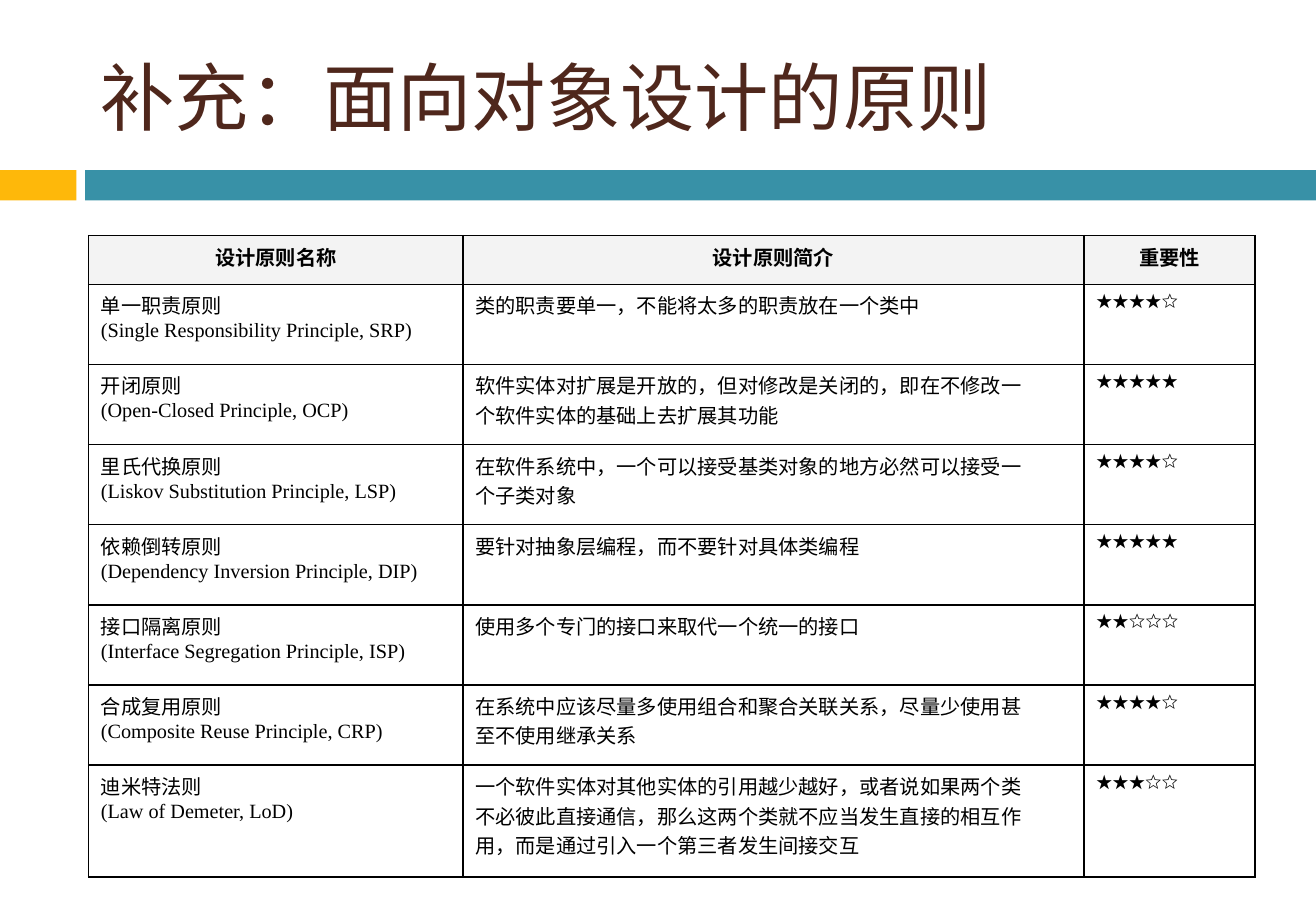
from dataclasses import dataclass

from lxml import etree
from pptx import Presentation
from pptx import util as u
from pptx.dml.color import RGBColor
from pptx.enum import shapes, text
from pptx.oxml import ns

BLACK, WHITE, HEADER_GRAY = "000000", "FFFFFF", "F3F3F3"
BROWN, YELLOW, TEAL = "4F271C", "FEB80A", "3891A7"
HANG = u.Inches(0.38)
MAX_STARS = 5


@dataclass
class Bar:
    left: float
    width: float
    color: str


@dataclass
class Principle:
    name: str
    english: str
    summary: list[str]
    stars: int

    def cells(self) -> list[list[str]]:
        rating = "★" * self.stars + "☆" * (MAX_STARS - self.stars)
        return [[self.name, f"({self.english})"], self.summary, [rating]]


BARS = [Bar(0, 0.63, YELLOW), Bar(0.7, 10.13, TEAL)]
HEADERS = ["设计原则名称", "设计原则简介", "重要性"]
COL_WIDTHS = [3.08, 5.11, 1.41]
ROW_HEIGHTS = [0.4] + [0.66] * 6 + [0.92]
PRINCIPLES = [
    Principle("单一职责原则", "Single Responsibility Principle, SRP",
              ["类的职责要单一，不能将太多的职责放在一个类中"], 4),
    Principle("开闭原则", "Open-Closed Principle, OCP",
              ["软件实体对扩展是开放的，但对修改是关闭的，即在不修改一",
               "个软件实体的基础上去扩展其功能"], 5),
    Principle("里氏代换原则", "Liskov Substitution Principle, LSP",
              ["在软件系统中，一个可以接受基类对象的地方必然可以接受一",
               "个子类对象"], 4),
    Principle("依赖倒转原则", "Dependency Inversion Principle, DIP",
              ["要针对抽象层编程，而不要针对具体类编程"], 5),
    Principle("接口隔离原则", "Interface Segregation Principle, ISP",
              ["使用多个专门的接口来取代一个统一的接口"], 2),
    Principle("合成复用原则", "Composite Reuse Principle, CRP",
              ["在系统中应该尽量多使用组合和聚合关联关系，尽量少使用甚",
               "至不使用继承关系"], 4),
    Principle("迪米特法则", "Law of Demeter, LoD",
              ["一个软件实体对其他实体的引用越少越好，或者说如果两个类",
               "不必彼此直接通信，那么这两个类就不应当发生直接的相互作",
               "用，而是通过引入一个第三者发生间接交互"], 3),
]


def rgb(color: str) -> RGBColor:
    return RGBColor.from_string(color)


def set_font(p, name: str, size: float, color: str, bold: bool = False) -> None:
    p.font.name, p.font.size, p.font.bold = name, u.Pt(size), bold
    p.font.color.rgb = rgb(color)


def add_bar(s, bar: Bar) -> None:
    sp = s.shapes.add_shape(shapes.MSO_SHAPE.RECTANGLE, u.Inches(bar.left),
                            u.Inches(1.4), u.Inches(bar.width), u.Inches(0.25))
    sp.shadow.inherit = False
    sp.fill.solid()
    sp.fill.fore_color.rgb = rgb(bar.color)
    sp.line.fill.background()


def add_title(s, title: str) -> None:
    sp = s.shapes.add_textbox(u.Inches(0.73), u.Inches(0.25), u.Inches(9.66), u.Inches(1.08))
    tf = sp.text_frame
    tf.word_wrap = True
    tf.vertical_anchor = text.MSO_ANCHOR.MIDDLE
    p = tf.paragraphs[0]
    p.text = title
    set_font(p, "Calibri", 44, BROWN)


def set_borders(cell) -> None:
    """Draw a 1 pt black line on all four sides; call before filling the cell."""
    tc_pr = cell._tc.get_or_add_tcPr()
    for side in ("a:lnL", "a:lnR", "a:lnT", "a:lnB"):
        ln = etree.SubElement(tc_pr, ns.qn(side), w=str(u.Pt(1)))
        fill = etree.SubElement(ln, ns.qn("a:solidFill"))
        etree.SubElement(fill, ns.qn("a:srgbClr"), val=BLACK)


def fill_cell(cell, lines: list[str], header: bool) -> None:
    set_borders(cell)
    cell.fill.solid()
    cell.fill.fore_color.rgb = rgb(HEADER_GRAY if header else WHITE)
    tf = cell.text_frame
    tf.text = "\n".join(lines)
    for p in tf.paragraphs:
        p.alignment = text.PP_ALIGN.CENTER if header else text.PP_ALIGN.LEFT
        set_font(p, "Times New Roman", 12, BLACK, bold=header)
        p_pr = p._p.get_or_add_pPr()
        p_pr.set("marL", str(HANG))
        p_pr.set("indent", str(-HANG))


def add_principles_table(s) -> None:
    rows = [[[h] for h in HEADERS]] + [principle.cells() for principle in PRINCIPLES]
    table = s.shapes.add_table(len(rows), len(HEADERS), u.Inches(0.73), u.Inches(1.94),
                               u.Inches(sum(COL_WIDTHS)), u.Inches(sum(ROW_HEIGHTS))).table
    table.horz_banding = False
    for col, width in zip(table.columns, COL_WIDTHS):
        col.width = u.Inches(width)
    for row, height in zip(table.rows, ROW_HEIGHTS):
        row.height = u.Inches(height)
    for i, row in enumerate(rows):
        for j, lines in enumerate(row):
            fill_cell(table.cell(i, j), lines, header=i == 0)


def main() -> None:
    prs = Presentation()
    prs.slide_width, prs.slide_height = u.Inches(10.83), u.Inches(7.5)
    s = prs.slides.add_slide(prs.slide_layouts[6])
    for bar in BARS:
        add_bar(s, bar)
    add_title(s, "补充：面向对象设计的原则")
    add_principles_table(s)
    prs.save("out.pptx")


if __name__ == "__main__":
    main()
